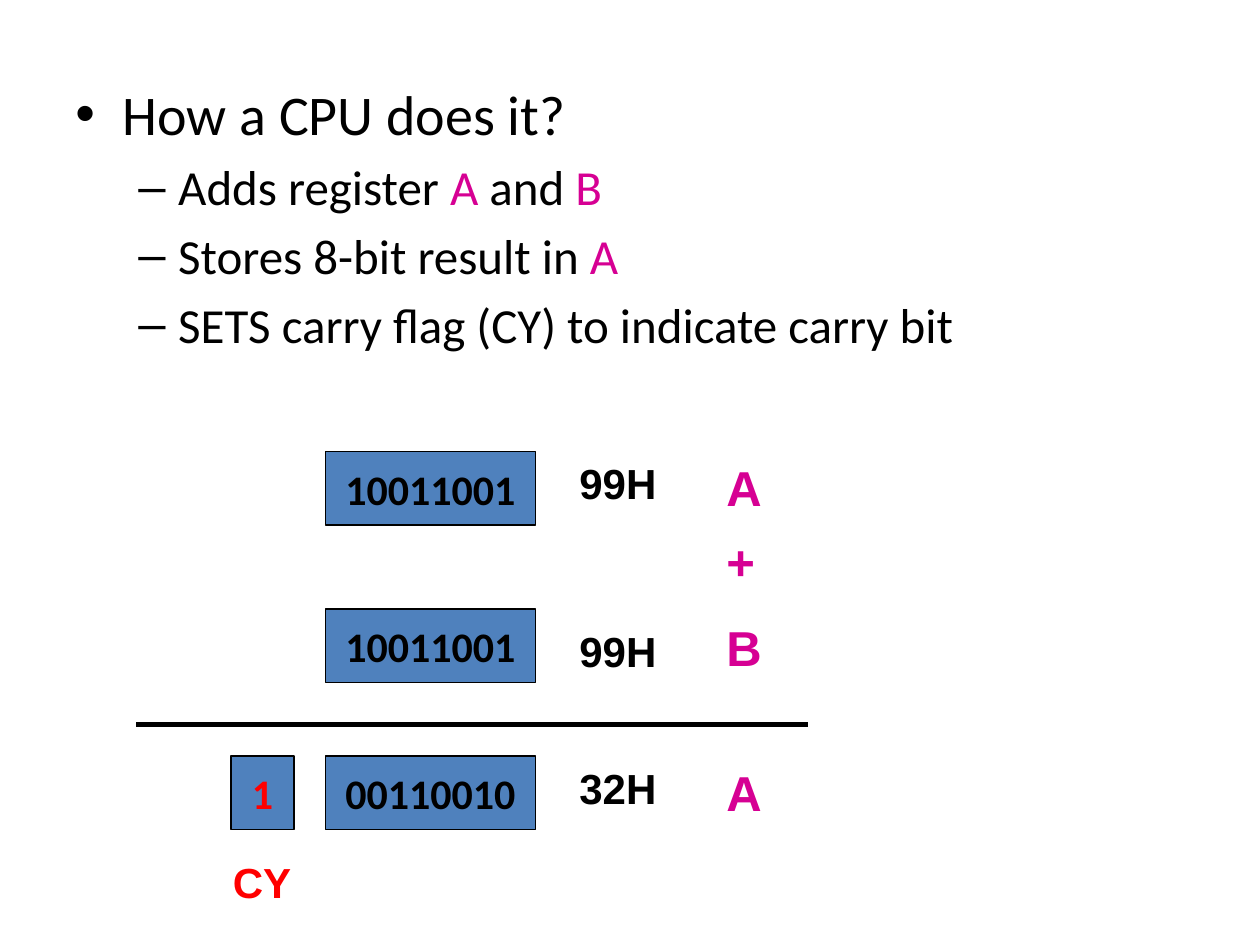
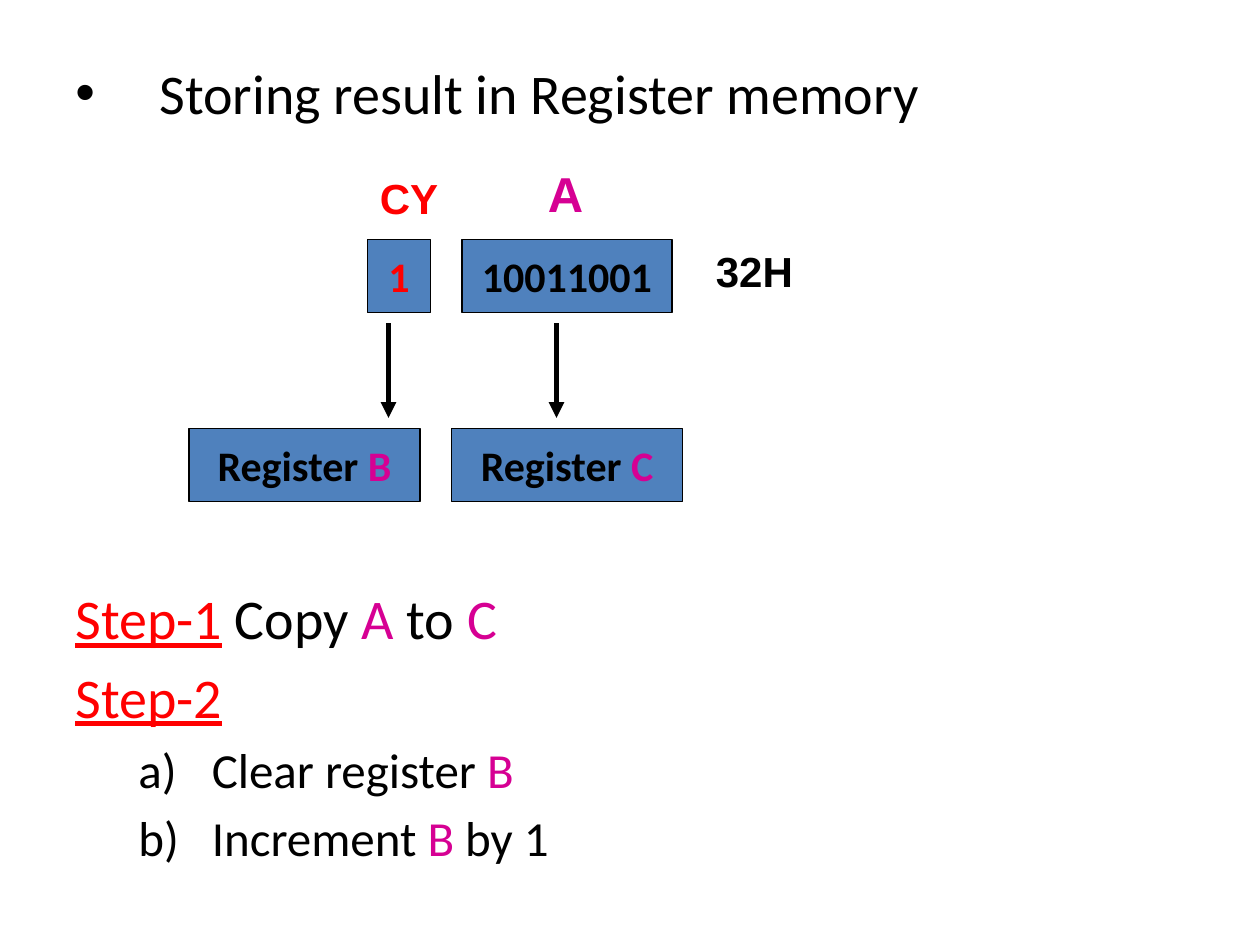
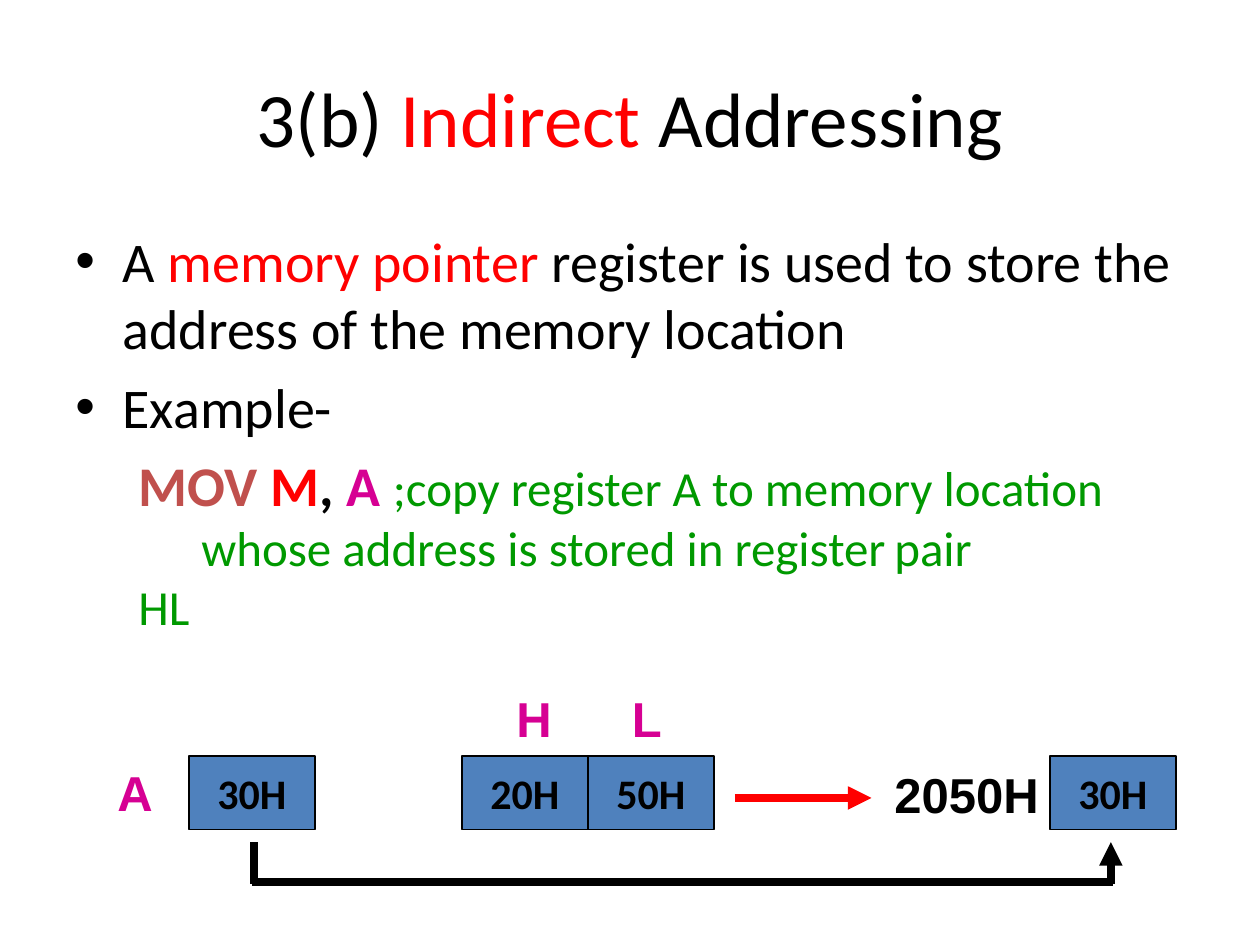
from dataclasses import dataclass

import pptx
import pptx.dml.color
import pptx.enum.shapes
import pptx.enum.text
import pptx.oxml.ns
import pptx.util
from lxml import etree

PX = 7620  # EMU per px, 120 px to the inch
ALIGN = pptx.enum.text.PP_ALIGN
ANCHOR = pptx.enum.text.MSO_ANCHOR
AUTO_SIZE = pptx.enum.text.MSO_AUTO_SIZE


@dataclass(frozen=True)
class Theme:
    black: str = "000000"
    white: str = "FFFFFF"
    red: str = "FF0000"
    magenta: str = "D60093"
    brick: str = "C0504D"
    green: str = "009900"
    blue: str = "4F81BD"
    body_font: str = "Calibri"
    label_font: str = "Arial"
    title_size: int = 44
    body_size: int = 32
    sub_size: int = 28
    value_size: int = 24
    box_height: int = 70


THEME = Theme()


@dataclass(frozen=True)
class ParagraphStyle:
    size: int = THEME.body_size
    margin: int = 0
    hanging: int = 0
    bullet: str = ""
    numbering: str = ""
    level: int = 0
    tabs: tuple = ()


BULLET = ParagraphStyle(margin=45, hanging=45, bullet="•")
WIDE_BULLET = ParagraphStyle(margin=80, hanging=80, bullet="•")
DASH = ParagraphStyle(THEME.sub_size, 98, 38, bullet="–", level=1)
STEP = ParagraphStyle()
LETTERED = ParagraphStyle(THEME.sub_size, 130, 70, numbering="alphaLcParenR", level=1)
CODE = ParagraphStyle(tabs=(45, 98, 949))


def px(*lengths):
    return [pptx.util.Emu(length * PX) for length in lengths]


def rgb(color):
    return pptx.dml.color.RGBColor.from_string(color)


def add_xml(parent, tag, **attributes):
    return etree.SubElement(parent, pptx.oxml.ns.qn(tag), **attributes)


def write(paragraph, text, *, size, color=THEME.black, font=THEME.body_font,
          bold=False, underline=False):
    """Add text to a paragraph; a newline becomes a line break."""
    for number, line in enumerate(text.split("\n")):
        if number:
            paragraph.add_line_break()
        run = paragraph.add_run()
        run.text = line
        run.font.size = pptx.util.Pt(size)
        run.font.name = font
        run.font.bold = bold
        run.font.underline = underline
        run.font.color.rgb = rgb(color)


def write_parts(paragraph, parts, **base):
    """Write plain strings in the base format and (text, changes) pairs in their own."""
    for part in [parts] if isinstance(parts, str) else parts:
        text, changes = (part, {}) if isinstance(part, str) else part
        write(paragraph, text, **{**base, **changes})


def register(name):
    return name, {"color": THEME.magenta}


def red(text, **changes):
    return text, {"color": THEME.red, **changes}


def format_paragraph(paragraph, style):
    paragraph.level = style.level
    paragraph.space_before = pptx.util.Pt(style.size * 0.2)
    properties = paragraph._p.get_or_add_pPr()
    properties.set("marL", str(style.margin * PX))
    properties.set("indent", str(-style.hanging * PX))
    if style.bullet:
        add_xml(properties, "a:buFont", typeface=THEME.label_font)
        add_xml(properties, "a:buChar", char=style.bullet)
    elif style.numbering:
        add_xml(properties, "a:buAutoNum", type=style.numbering)
    else:
        add_xml(properties, "a:buNone")
    if style.tabs:
        stops = add_xml(properties, "a:tabLst")
        for position in style.tabs:
            add_xml(stops, "a:tab", pos=str(position * PX), algn="l")


class Deck:
    def __init__(self, theme):
        self.theme = theme
        self.presentation = pptx.Presentation()
        self.presentation.slide_width, self.presentation.slide_height = px(1200, 900)
        self.slide = None

    def new_slide(self):
        blank = self.presentation.slide_layouts[6]
        self.slide = self.presentation.slides.add_slide(blank)

    def text_box(self, left, top, width, height):
        box = self.slide.shapes.add_textbox(*px(left, top, width, height))
        box.text_frame.word_wrap = True
        return box

    def title(self, parts):
        frame = self.text_box(60, 36, 1080, 150).text_frame
        frame.vertical_anchor = ANCHOR.MIDDLE
        frame.paragraphs[0].alignment = ALIGN.CENTER
        write_parts(frame.paragraphs[0], parts, size=self.theme.title_size)

    def body(self, top, height, paragraphs):
        frame = self.text_box(60, top, 1080, height).text_frame
        for number, (style, parts) in enumerate(paragraphs):
            paragraph = frame.add_paragraph() if number else frame.paragraphs[0]
            format_paragraph(paragraph, style)
            write_parts(paragraph, parts, size=style.size)

    def value_box(self, left, top, width, parts):
        box = self.slide.shapes.add_shape(
            pptx.enum.shapes.MSO_SHAPE.RECTANGLE,
            *px(left, top, width, self.theme.box_height))
        box.shadow.inherit = False
        box.fill.solid()
        box.fill.fore_color.rgb = rgb(self.theme.blue)
        box.line.color.rgb = rgb(self.theme.black)
        box.line.width = pptx.util.Pt(0.75)
        frame = box.text_frame
        frame.word_wrap = False
        frame.vertical_anchor = ANCHOR.MIDDLE
        frame.paragraphs[0].alignment = ALIGN.CENTER
        write_parts(frame.paragraphs[0], parts, size=self.theme.value_size, bold=True)

    def label(self, left, top, width, text, *, size, color, fill=None):
        height = 68 if size == self.theme.sub_size else 60
        box = self.text_box(left, top, width, height)
        if fill:
            box.fill.solid()
            box.fill.fore_color.rgb = rgb(fill)
        box.text_frame.auto_size = AUTO_SIZE.SHAPE_TO_FIT_TEXT
        write(box.text_frame.paragraphs[0], text, size=size, color=color,
              font=self.theme.label_font, bold=True)

    def register_label(self, left, top, text, width=60):
        self.label(left, top, width, text, size=self.theme.sub_size,
                   color=self.theme.magenta)

    def hex_label(self, left, top, text, fill=None):
        self.label(left, top, 110, text, size=self.theme.value_size,
                   color=self.theme.black, fill=fill)

    def carry_label(self, left, top):
        self.label(left, top, 80, "CY", size=self.theme.value_size, color=self.theme.red)

    def line(self, x1, y1, x2, y2, *, width=3.0, color=THEME.black, arrow=False):
        connector = self.slide.shapes.add_connector(
            pptx.enum.shapes.MSO_CONNECTOR.STRAIGHT, *px(x1, y1, x2, y2))
        connector.line.color.rgb = rgb(color)
        connector.line.width = pptx.util.Pt(width)
        if arrow:
            add_xml(connector.line._get_or_add_ln(), "a:tailEnd", type="triangle")
        add_xml(connector._element.spPr, "a:effectLst")


def build_addition(deck):
    deck.new_slide()
    deck.body(70, 310, [
        (BULLET, "How a CPU does it?"),
        (DASH, ["Adds register ", register("A"), " and ", register("B")]),
        (DASH, ["Stores 8-bit result in ", register("A")]),
        (DASH, "SETS carry flag (CY) to indicate carry bit"),
    ])
    for top, bits in ((430, "10011001"), (580, "10011001"), (720, "00110010")):
        deck.value_box(310, top, 200, bits)
    for top, symbol in ((430, "A"), (500, "+"), (582, "B"), (720, "A")):
        deck.register_label(680, top, symbol)
    for top in (430, 590):
        deck.hex_label(540, top, "99H")
    deck.hex_label(540, 720, "32H", fill=deck.theme.white)
    deck.value_box(220, 720, 60, [red("1")])
    deck.carry_label(210, 810)
    deck.line(130, 690, 770, 690)


def build_storing(deck):
    deck.new_slide()
    deck.body(50, 134, [(WIDE_BULLET, "Storing result in Register memory")])
    deck.value_box(440, 228, 200, "10011001")
    deck.register_label(510, 150, "A")
    deck.hex_label(670, 228, "32H")
    deck.value_box(350, 228, 60, [red("1")])
    deck.carry_label(350, 158)
    for left, arrow_x, name in ((430, 530, "C"), (180, 370, "B")):
        deck.value_box(left, 408, 220, ["Register ", register(name)])
        deck.line(arrow_x, 308, arrow_x, 398, arrow=True)
    deck.body(550, 320, [
        (STEP, [red("Step-1", underline=True), " Copy ", register("A"),
                " to ", register("C")]),
        (STEP, [red("Step-2", underline=True)]),
        (LETTERED, ["Clear register ", register("B")]),
        (LETTERED, ["Increment ", register("B"), " by 1"]),
    ])


def build_indirect(deck):
    theme = deck.theme
    deck.new_slide()
    deck.title(["3(b) ", red("Indirect"), " Addressing"])
    comment = (";copy register A to memory location\n"
               "\t\twhose address is stored in register\tpair\n\tHL")
    deck.body(210, 410, [
        (BULLET, ["A ", red("memory pointer"),
                  " register is used to store the address of the memory location"]),
        (BULLET, "Example-"),
        (CODE, [("\tMOV ", {"color": theme.brick, "bold": True}),
                red("M", bold=True),
                (", ", {"bold": True}),
                ("A ", {"color": theme.magenta, "bold": True}),
                (comment, {"color": theme.green, "size": theme.sub_size})]),
    ])
    for left, content in ((180, "30H"), (440, "20H"), (560, "50H"), (1000, "30H")):
        deck.value_box(left, 720, 120, content)
    for left, top, name in ((100, 720, "A"), (480, 650, "H"), (590, 650, "L")):
        deck.register_label(left, top, name, width=70)
    deck.label(840, 722, 170, "2050H", size=theme.sub_size, color=theme.black)
    deck.line(700, 760, 830, 760, width=4.5, color=theme.red, arrow=True)
    deck.line(242, 802, 242, 842, width=4.5)
    deck.line(240, 840, 1060, 840, width=4.5)
    deck.line(1058, 842, 1058, 802, width=4.5, arrow=True)


def main():
    deck = Deck(THEME)
    build_addition(deck)
    build_storing(deck)
    build_indirect(deck)
    deck.presentation.save("out.pptx")


if __name__ == "__main__":
    main()
